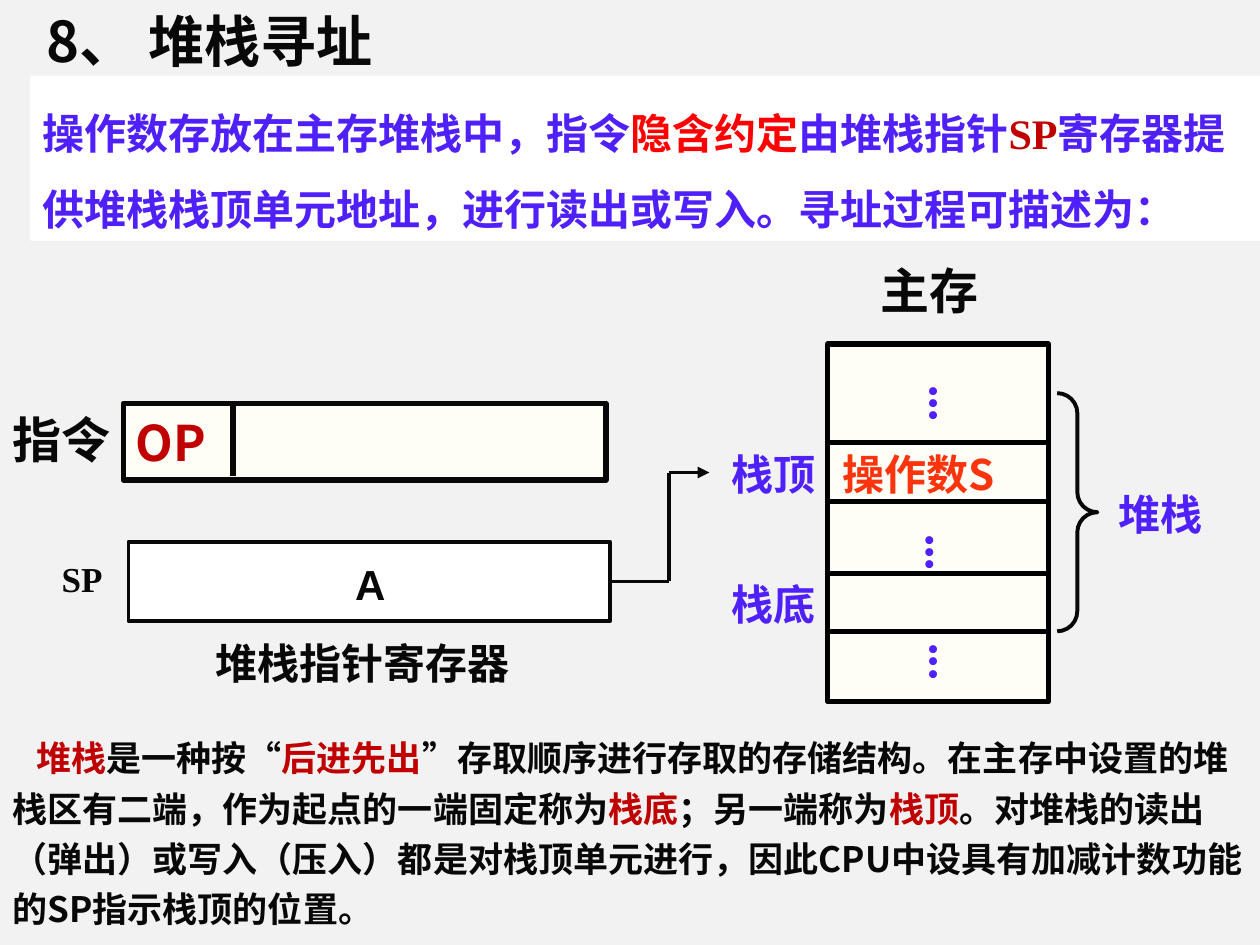
from dataclasses import dataclass

from lxml import etree
from pptx import Presentation
from pptx import util as u
from pptx.dml.color import RGBColor
from pptx.enum import shapes, text
from pptx.oxml.ns import qn

COLS, ROWS = 100, 75  # square cells over the whole slide


@dataclass(frozen=True)
class Theme:
    back: str = "F2F2F2"
    ink: str = "080808"
    edge: str = "000000"
    blue: str = "4F20FA"
    dark: str = "C00000"
    red: str = "FF0000"
    warm: str = "FA350E"
    white: str = "FFFFFF"
    cream: str = "FEFEF6"
    cjk: str = "Noto Sans CJK SC"
    serif: str = "Times New Roman"
    sans: str = "Arial"
    title: int = 32
    head: int = 28
    label: int = 24
    body: int = 20
    thick: float = 3
    thin: float = 2.25


T = Theme()
deck = Presentation()
deck.slide_width, deck.slide_height = u.Inches(10), u.Inches(7.5)
CELL = deck.slide_width // COLS
slide = deck.slides.add_slide(deck.slide_layouts[6])


def rgb(tone):
    return RGBColor.from_string(tone)


def cells(*nums):
    return [round(n * CELL) for n in nums]


def write(shape, parts, size, face, tone=T.ink, lead=None, vert=None, indent=0):
    """Fill a shape with one paragraph; parts is a string or (string, colour) pairs."""
    frame = shape.text_frame
    frame.word_wrap = True
    frame.vertical_anchor = text.MSO_ANCHOR.MIDDLE
    if vert:
        frame._txBody.bodyPr.set("vert", vert)
    para = frame.paragraphs[0]
    para.alignment = text.PP_ALIGN.LEFT
    if lead:
        para.line_spacing = lead
    if indent:
        para._p.get_or_add_pPr().set("indent", str(cells(indent)[0]))
    font = para.font
    font.size, font.bold, font.name = u.Pt(size), True, face
    east = etree.SubElement(para._p.pPr.find(qn("a:defRPr")), qn("a:ea"))
    east.set("typeface", T.cjk)
    if isinstance(parts, str):
        font.color.rgb = rgb(tone)
        parts = [(parts, None)]
    for words, hue in parts:
        run = para.add_run()
        run.text = words
        if hue:
            run.font.color.rgb = rgb(hue)


def label(box, *args, **opts):
    write(slide.shapes.add_textbox(*cells(*box)), *args, **opts)


def panel(box, fill, width=0, edge=T.ink):
    shape = slide.shapes.add_shape(shapes.MSO_SHAPE.RECTANGLE, *cells(*box))
    shape.shadow.inherit = False
    shape.fill.solid()
    shape.fill.fore_color.rgb = rgb(fill)
    if width:
        shape.line.color.rgb = rgb(edge)
        shape.line.width = u.Pt(width)
    else:
        shape.line.fill.background()
    return shape


def rule(x1, y1, x2, y2, width, tone=T.ink, head=False):
    line = slide.shapes.add_connector(
        shapes.MSO_CONNECTOR.STRAIGHT, *cells(x1, y1, x2, y2))
    line.line.color.rgb = rgb(tone)
    line.line.width = u.Pt(width)
    if head:
        tail = etree.SubElement(line.line._get_or_add_ln(), qn("a:tailEnd"))
        tail.set("type", "triangle")
    etree.SubElement(line._element.spPr, qn("a:effectLst"))
    return line


def intro(x, y, w, h):
    label((x + 0.3, y, 37, 6.3), "8、 堆栈寻址", T.title, T.cjk)
    write(panel((x, y + 6, w, h - 6), T.white), [
        ("操作数存放在主存堆栈中，指令", T.blue),
        ("隐含约定", T.red),
        ("由堆栈指针", T.blue),
        ("SP", T.dark),
        ("寄存器提供堆栈栈顶单元地址，进行读出或写入。寻址过程可描述为：", T.blue),
    ], T.label, T.serif, lead=1.5)


def order(x, y, w, h):
    """The instruction word with its operation code field."""
    label((x, y, 11.4, 5.7), "指令", T.head, T.serif)
    write(panel((x + 9.8, y, w - 9.8, h), T.cream, T.thick),
          "OP", T.head, T.cjk, T.dark)
    rule(x + 18.5, y, x + 18.5, y + 5.8, T.thick)


def pointer(x, y, w, h):
    """The stack pointer register; returns its box for the arrow."""
    label((x, y + 0.8, 7.9, 4.3), "SP", T.body, T.serif)
    reg = panel((x + 6.3, y, w - 6.3, h), T.white, T.thin)
    label((x + 23.3, y + 0.8, 7.9, 5), "A", T.label, T.sans)
    label((x + 12.2, y + 7.1, 29.1, 5), "堆栈指针寄存器", T.label, T.sans)
    return reg


def arrow(reg, x, y, w, h):
    """Bent path from the register, up and right to the top of the stack."""
    rule(x, y, x + w, y, T.thin, head=True)
    rule(x, y, x, y + h, T.thin)
    rule(x, y + h, x - 4.7, y + h, T.thin).end_connect(reg, 3)


def memory(x, y, w, h):
    label((x + 3.2, y - 7.1, 14.2, 5.7), "主存", T.head, T.sans)
    panel((x, y, w, h), T.cream, T.thick, T.edge)
    for row in (7.8, 12.5, 18.2, 22.8):
        rule(x, y + row, x + w, y + row, T.thick, T.edge)
    for col, row in ((6.3, 2.3), (6, 14.1), (6.3, 22.8)):
        label((x + col, y + row, 6.7, 5.8), "...", T.head, T.serif, T.blue,
              vert="eaVert")
    label((x + 0.2, y + 7.6, w - 0.2, 5.4), "操作数S", T.label, T.cjk, T.warm)
    for words, col, row in (("栈顶", -8.6, 7.8), ("栈底", -8.6, 18.1),
                            ("堆栈", 22.1, 11)):
        label((x + col, y + row, 9.5, 5), words, T.label, T.cjk, T.blue)
    brace = slide.shapes.add_shape(
        shapes.MSO_SHAPE.RIGHT_BRACE, *cells(x + w + 0.7, y + 3.9, 3.2, 18.9))
    brace.adjustments[0] = 0.5
    brace.shadow.inherit = False
    brace.fill.background()
    brace.line.color.rgb = rgb(T.ink)
    brace.line.width = u.Pt(T.thin)


def notes(*box):
    label(box, [
        ("堆栈", T.dark),
        ("是一种按“", T.ink),
        ("后进先出", T.dark),
        ("”存取顺序进行存取的存储结构。在主存中设置的堆栈区有二端，"
         "作为起点的一端固定称为", T.ink),
        ("栈底", T.dark),
        ("；另一端称为", T.ink),
        ("栈顶", T.dark),
        ("。对堆栈的读出（弹出）或写入（压入）都是对栈顶单元进行，"
         "因此CPU中设具有加减计数功能的SP指示栈顶的位置。", T.ink),
    ], T.body, T.cjk, lead=1.2, indent=1.9)


def main():
    slide.background.fill.solid()
    slide.background.fill.fore_color.rgb = rgb(T.back)
    intro(2.4, 0, 97.6, 19.1)
    order(0, 32, 48.1, 6.1)
    reg = pointer(3.9, 43, 44.5, 6.3)
    memory(65.7, 27.3, 17.5, 28.4)
    arrow(reg, 53.1, 37.5, 3.2, 8.65)
    notes(0, 57.2, COLS, 17.2)
    deck.save("out.pptx")


if __name__ == "__main__":
    main()
